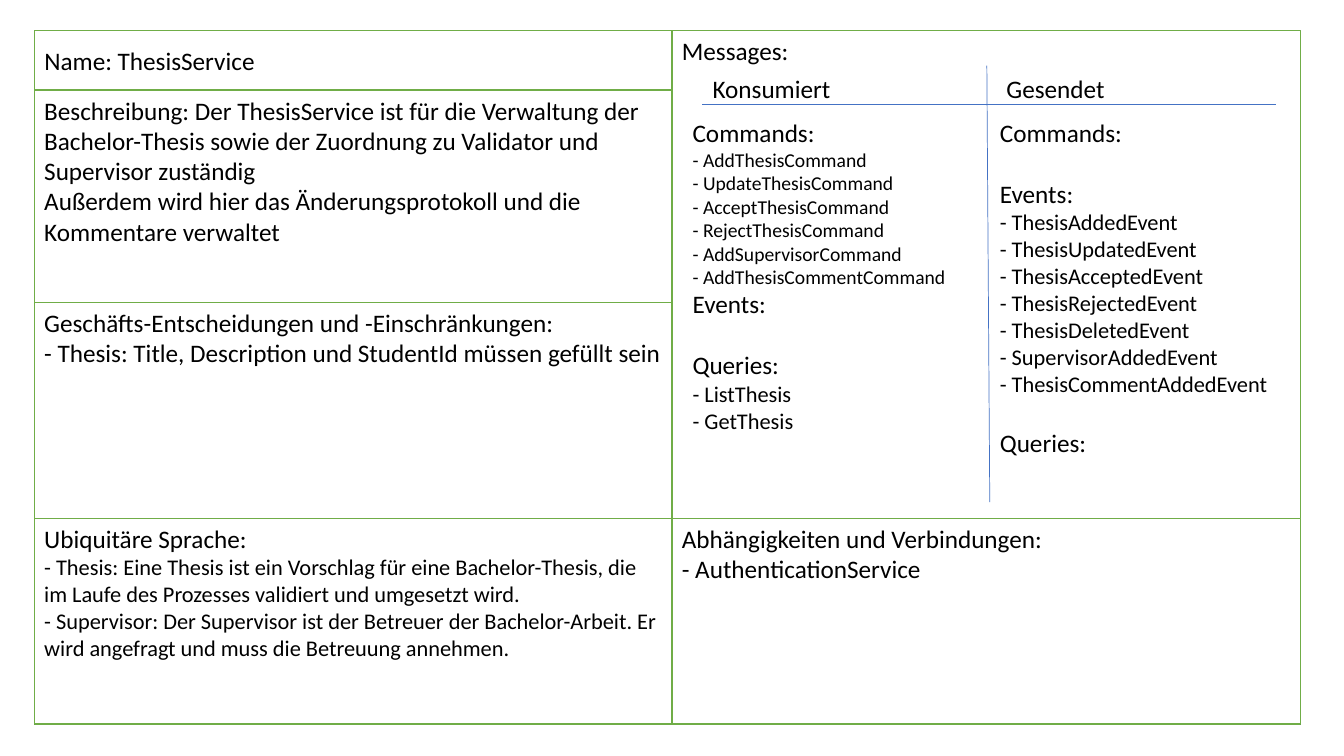
from pptx import Presentation
from pptx.dml.color import RGBColor
from pptx.enum.shapes import MSO_CONNECTOR, MSO_SHAPE
from pptx.enum.text import MSO_ANCHOR, MSO_AUTO_SIZE, PP_ALIGN
from pptx.oxml.ns import qn
from pptx.util import Pt
from lxml.etree import SubElement

COLORS = {"paper": "FFFFFF", "frame": "172C51", "cell": "70AD47",
          "divider": "4472C4", "ink": "000000"}
FRAME_FORMAT = {"word_wrap": True, "auto_size": MSO_AUTO_SIZE.NONE,
                "margin_left": Pt(7.2), "margin_right": Pt(7.2),
                "margin_top": Pt(3.6), "margin_bottom": Pt(3.6)}
PARAGRAPH_FORMAT = {"alignment": PP_ALIGN.LEFT, "line_spacing": 1.0, "space_after": Pt(0)}
FONT_FORMAT = {"name": "Calibri", "bold": False}
BLANK_LINE = 22


def write(holder, lines, anchor=MSO_ANCHOR.TOP):
    frame = holder.text_frame
    for key, value in {**FRAME_FORMAT, "vertical_anchor": anchor}.items():
        setattr(frame, key, value)
    for number, (text, size, gap) in enumerate(lines):
        paragraph = frame.paragraphs[0] if number == 0 else frame.add_paragraph()
        for key, value in {**PARAGRAPH_FORMAT, "space_before": Pt(gap)}.items():
            setattr(paragraph, key, value)
        properties = paragraph._p.get_or_add_pPr()
        properties.set("marL", "0")
        properties.set("indent", "0")
        SubElement(properties, qn("a:buNone"))
        run = paragraph.add_run()
        run.text = text
        for key, value in {**FONT_FORMAT, "size": Pt(size)}.items():
            setattr(run.font, key, value)
        run.font.color.rgb = RGBColor.from_string(COLORS["ink"])


def outline(box, color):
    box.shadow.inherit = False
    box.fill.solid()
    box.fill.fore_color.rgb = RGBColor.from_string(COLORS["paper"])
    box.line.color.rgb = RGBColor.from_string(COLORS[color])
    box.line.width = Pt(1)


presentation = Presentation()
presentation.slide_width, presentation.slide_height = Pt(960), Pt(540)
slide = presentation.slides.add_slide(presentation.slide_layouts[4])
shapes = slide.shapes
name, consumed_heading, consumed, sent_heading, sent = list(slide.placeholders)

left, middle, right = 24.5, 480, 929
top, description_top, decisions_top, language_top, bottom = 21.6, 64.2, 216, 370.2, 517.2

canvas = shapes.add_shape(MSO_SHAPE.RECTANGLE, Pt(left), Pt(top),
                          Pt(right - left), Pt(bottom - top))
outline(canvas, "frame")

cells = [
    (left, description_top, middle, decisions_top, [
        ("Beschreibung: Der ThesisService ist für die Verwaltung der Bachelor-Thesis "
         "sowie der Zuordnung zu Validator und Supervisor zuständig", 18, 0),
        ("Außerdem wird hier das Änderungsprotokoll und die Kommentare verwaltet", 18, 0)]),
    (left, decisions_top, middle, language_top, [
        ("Geschäfts-Entscheidungen und -Einschränkungen:", 18, 0),
        ("- Thesis: Title, Description und StudentId müssen gefüllt sein", 18, 0)]),
    (left, language_top, middle, bottom, [
        ("Ubiquitäre Sprache:", 18, 0),
        ("- Thesis: Eine Thesis ist ein Vorschlag für eine Bachelor-Thesis, die im Laufe "
         "des Prozesses validiert und umgesetzt wird.", 16, 0),
        ("- Supervisor: Der Supervisor ist der Betreuer der Bachelor-Arbeit. Er wird "
         "angefragt und muss die Betreuung annehmen.", 16, 0)]),
    (middle, top, right, language_top, [("Messages:", 18, 0)]),
    (middle, language_top, right, bottom, [
        ("Abhängigkeiten und Verbindungen:", 18, 0),
        ("- AuthenticationService", 18, 0)]),
]
for x1, y1, x2, y2, lines in cells:
    cell = shapes.add_shape(MSO_SHAPE.RECTANGLE, Pt(x1), Pt(y1), Pt(x2 - x1), Pt(y2 - y1))
    outline(cell, "cell")
    write(cell, lines)

for ends in [(704.9, 46.8, 707, 358.6), (501.8, 74.9, 911.5, 74.9)]:
    divider = shapes.add_connector(MSO_CONNECTOR.STRAIGHT, *map(Pt, ends))
    divider.line.color.rgb = RGBColor.from_string(COLORS["divider"])
    divider.line.width = Pt(0.5)
    SubElement(divider._element.spPr, qn("a:effectLst"))

commands = ["AddThesis", "UpdateThesis", "AcceptThesis", "RejectThesis",
            "AddSupervisor", "AddThesisComment"]
events = ["ThesisAdded", "ThesisUpdated", "ThesisAccepted", "ThesisRejected",
          "ThesisDeleted", "SupervisorAdded", "ThesisCommentAdded"]
consumed_lines = [("Commands:", 18, 0),
                  *[(f"- {command}Command", 14, 0) for command in commands],
                  ("Events:", 18, 0),
                  ("Queries:", 18, BLANK_LINE),
                  ("- ListThesis", 16, 0),
                  ("- GetThesis", 16, 0)]
sent_lines = [("Commands:", 18, 0),
              ("Events:", 18, BLANK_LINE),
              *[(f"- {event}Event", 16, 0) for event in events],
              ("Queries:", 18, BLANK_LINE)]

outline(name, "cell")
placements = [
    (name, left, top, middle - left, description_top - top, MSO_ANCHOR.MIDDLE,
     [("Name: ThesisService", 18, 0)]),
    (consumed_heading, 501.8, 49, 170, 29, MSO_ANCHOR.TOP, [("Konsumiert", 18, 0)]),
    (sent_heading, 711.7, 49, 170, 29, MSO_ANCHOR.TOP, [("Gesendet", 18, 0)]),
    (consumed, 487.5, 80.2, 209.5, 235, MSO_ANCHOR.TOP, consumed_lines),
    (sent, 707, 80.2, 215.5, 252, MSO_ANCHOR.TOP, sent_lines),
]
for holder, x, y, width, height, anchor, lines in placements:
    place = {"left": x, "top": y, "width": width, "height": height}
    for key, value in place.items():
        setattr(holder, key, Pt(value))
    write(holder, lines, anchor)
    shapes._spTree.append(holder._element)

presentation.save("out.pptx")
